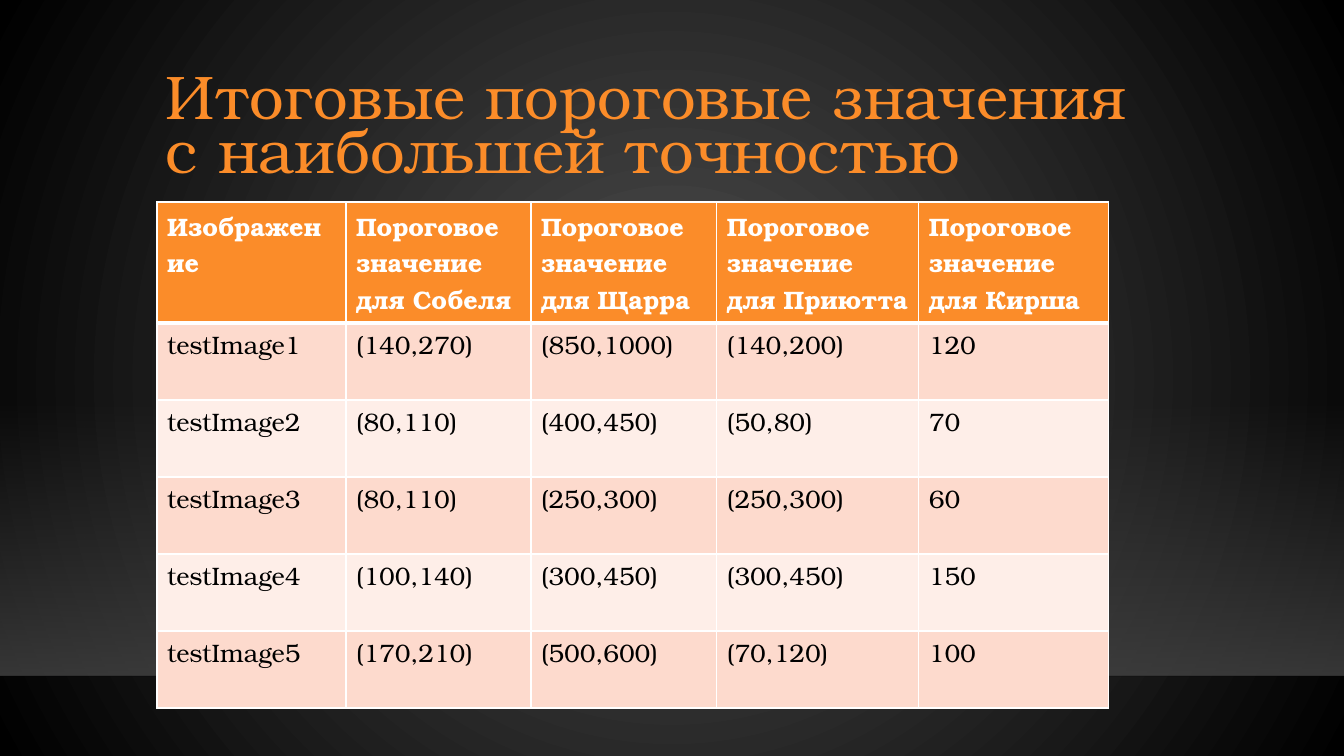
from lxml.etree import SubElement
from pptx import Presentation
from pptx.dml.color import RGBColor
from pptx.enum.shapes import MSO_CONNECTOR, MSO_SHAPE
from pptx.enum.text import MSO_ANCHOR
from pptx.oxml.ns import qn
from pptx.util import Pt

# Content
TITLE = "Итоговые пороговые значения с наибольшей точностью"
ROWS = [
    ("Изображение", "Пороговое значение для Собеля", "Пороговое значение для Щарра",
     "Пороговое значение для Приютта", "Пороговое значение для Кирша"),
    ("testImage1", "(140,270)", "(850,1000)", "(140,200)", "120"),
    ("testImage2", "(80,110)", "(400,450)", "(50,80)", "70"),
    ("testImage3", "(80,110)", "(250,300)", "(250,300)", "60"),
    ("testImage4", "(100,140)", "(300,450)", "(300,450)", "150"),
    ("testImage5", "(170,210)", "(500,600)", "(70,120)", "100"),
]

# Layout in px
WIDTH, HEIGHT = 1344, 756
HORIZON_TOP, HORIZON = 400, 676
TITLE_BOX = (156, 72, 1026, 116)
TABLE_LEFT, TABLE_TOP = 157, 202
COLUMN_WIDTHS = (189, 185, 186, 202, 190)
HEADER_HEIGHT, ROW_HEIGHT = 121, 77

# Style
FONT = "TeX Gyre Bonum"
ORANGE = RGBColor(0xFB, 0x8C, 0x29)
DARK_BAND = RGBColor(0xFD, 0xDA, 0xCD)
LIGHT_BAND = RGBColor(0xFE, 0xEE, 0xE8)
WHITE = RGBColor(0xFF, 0xFF, 0xFF)
BLACK = RGBColor(0, 0, 0)
CENTRE_GREY = RGBColor(0x50, 0x50, 0x50)
FLOOR_GREY = RGBColor(0x45, 0x45, 0x45)
HORIZON_BLACK = RGBColor(0, 0, 1)


def px(length):
    return round(length * 12192000 / WIDTH)


def write(frame, text, size, color, bold=False, spacing=None):
    frame.word_wrap = True
    para = frame.paragraphs[0]
    if spacing:
        para.line_spacing = spacing
    span = para.add_run()
    span.text = text
    span.font.name, span.font.size = FONT, Pt(size)
    span.font.bold, span.font.color.rgb = bold, color


def set_gradient(fill, colors):
    fill.gradient()
    for stop, color in zip(fill.gradient_stops, colors):
        stop.color.rgb = color


def set_opacity(element, percents):
    for color, percent in zip(element.iter(qn("a:srgbClr")), percents):
        SubElement(color, qn("a:alpha"), val=str(percent * 1000))


def add_borders(cell, bottom):
    properties = cell._tc.get_or_add_tcPr()
    for side, width in (("L", 1), ("R", 1), ("T", 1), ("B", bottom)):
        line = SubElement(properties, qn(f"a:ln{side}"), w=str(Pt(width)))
        fill = SubElement(line, qn("a:solidFill"))
        SubElement(fill, qn("a:srgbClr"), val=str(WHITE))


deck = Presentation()
deck.slide_width, deck.slide_height = px(WIDTH), px(HEIGHT)
page = deck.slides.add_slide(deck.slide_layouts[6])

# Radial background
background = page.background.fill
set_gradient(background, (CENTRE_GREY, BLACK))
for linear in list(page._element.iter(qn("a:lin"))):
    gradient = linear.getparent()
    gradient.remove(linear)
    circle = SubElement(gradient, qn("a:path"), path="circle")
    SubElement(circle, qn("a:fillToRect"), l="50000", t="50000", r="50000", b="50000")

# Glow above the horizon
glow = page.shapes.add_shape(MSO_SHAPE.RECTANGLE, 0, px(HORIZON_TOP),
                             px(WIDTH), px(HORIZON - HORIZON_TOP))
glow.shadow.inherit = False
glow.line.fill.background()
set_gradient(glow.fill, (FLOOR_GREY, FLOOR_GREY))
glow.fill.gradient_angle = 270
set_opacity(glow._element.spPr, (0, 80))

# Horizon line
horizon = page.shapes.add_connector(MSO_CONNECTOR.STRAIGHT, 0, px(HORIZON),
                                    px(WIDTH), px(HORIZON))
horizon.line.width = Pt(1)
horizon.line.color.rgb = HORIZON_BLACK
set_opacity(horizon._element.spPr, (20,))
SubElement(horizon._element.spPr, qn("a:effectLst"))

# Title
box = page.shapes.add_textbox(*map(px, TITLE_BOX))
box.text_frame.vertical_anchor = MSO_ANCHOR.MIDDLE
write(box.text_frame, TITLE, size=44, color=ORANGE, spacing=0.73)

# Table of thresholds
heights = [HEADER_HEIGHT] + [ROW_HEIGHT] * (len(ROWS) - 1)
table = page.shapes.add_table(len(ROWS), len(COLUMN_WIDTHS), px(TABLE_LEFT), px(TABLE_TOP),
                              px(sum(COLUMN_WIDTHS)), px(sum(heights))).table
for column, width in zip(table.columns, COLUMN_WIDTHS):
    column.width = px(width)
for index, (texts, height) in enumerate(zip(ROWS, heights)):
    table.rows[index].height = px(height)
    header = index == 0
    band = ORANGE if header else DARK_BAND if index % 2 else LIGHT_BAND
    for cell, text in zip(table.rows[index].cells, texts):
        add_borders(cell, bottom=3 if header else 1)
        cell.fill.solid()
        cell.fill.fore_color.rgb = band
        write(cell.text_frame, text, size=18, color=WHITE if header else BLACK, bold=header)

deck.save("out.pptx")
